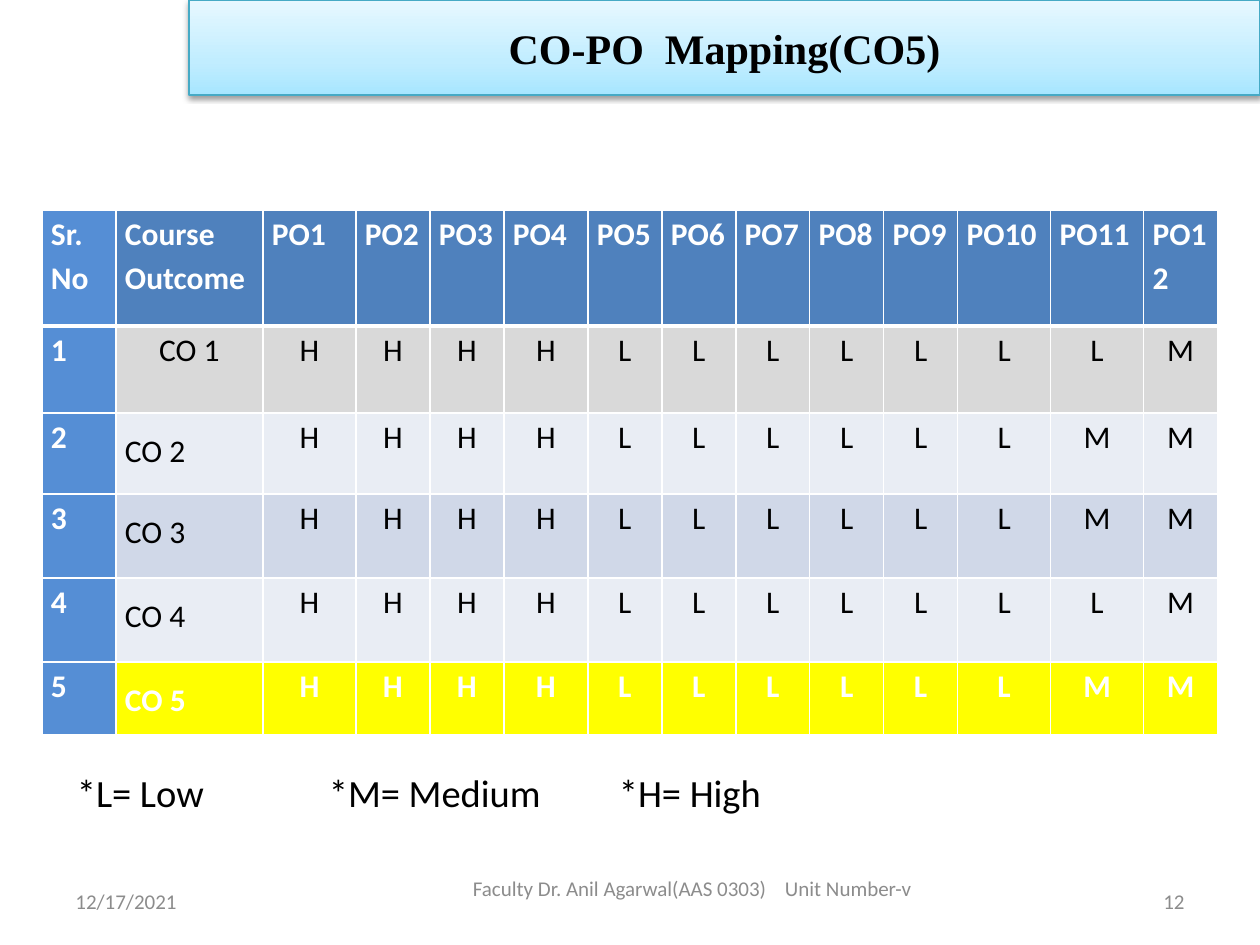
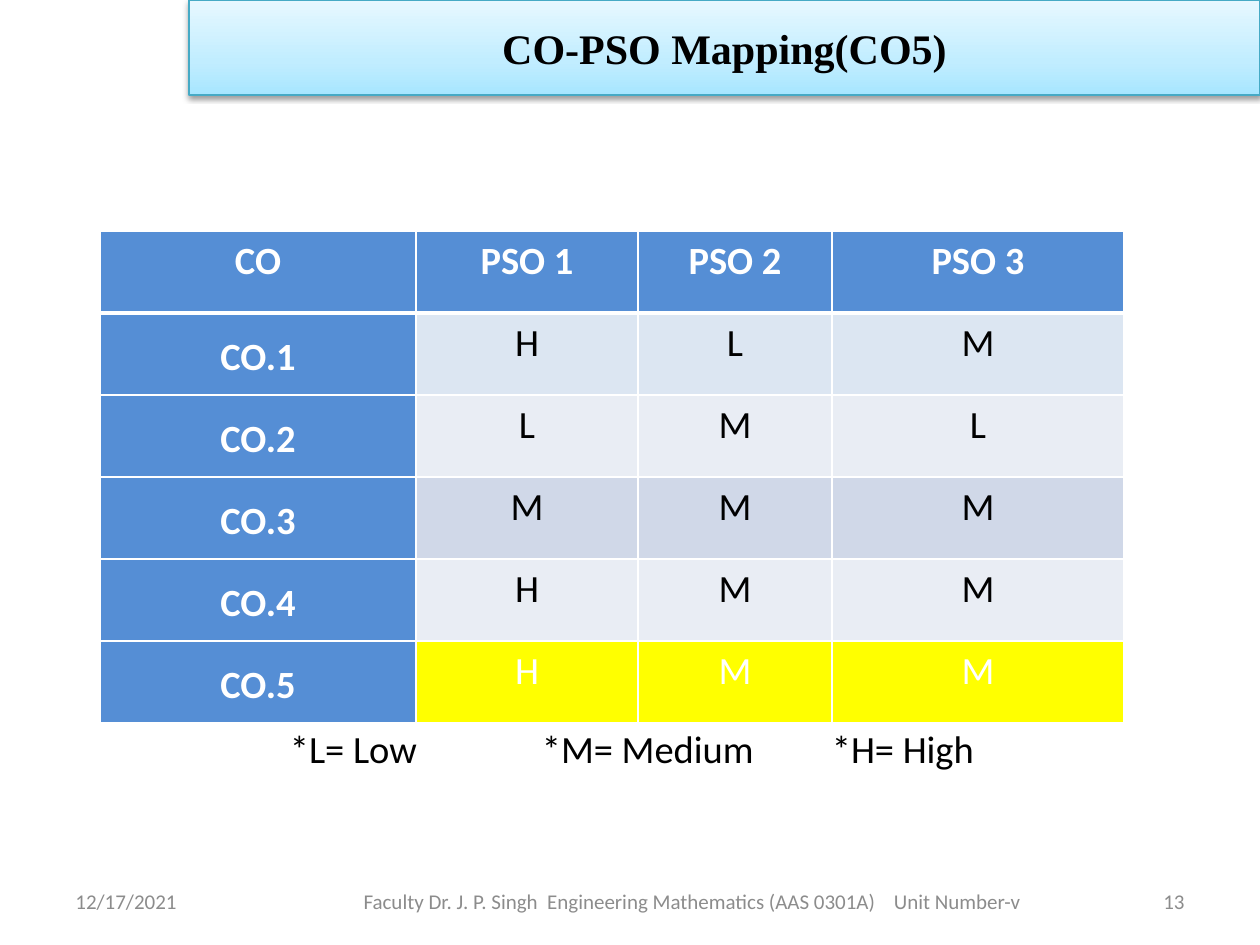
from pptx import Presentation
from pptx.dml.color import RGBColor
from pptx.enum.text import MSO_ANCHOR, MSO_AUTO_SIZE, PP_ALIGN
from pptx.oxml import parse_xml
from pptx.oxml.ns import nsdecls
from pptx.util import Emu, Pt

PX = 914400 // 126
LEFT, CENTER, RIGHT = PP_ALIGN.LEFT, PP_ALIGN.CENTER, PP_ALIGN.RIGHT
TOP, MIDDLE = MSO_ANCHOR.TOP, MSO_ANCHOR.MIDDLE
NO_FIT = MSO_AUTO_SIZE.NONE
TITLE_ONLY = 5

BLACK = RGBColor(0x00, 0x00, 0x00)
WHITE = RGBColor(0xFF, 0xFF, 0xFF)
FOOTER_GREY = RGBColor(0x8C, 0x8C, 0x8C)
TITLE_EDGE = RGBColor(0x46, 0xAA, 0xC5)
TITLE_STOPS = (
    (0, RGBColor(0xA7, 0xE6, 0xFF)),
    (35, RGBColor(0xC1, 0xED, 0xFF)),
    (100, RGBColor(0xE7, 0xF8, 0xFF)),
)
KEY_BLUE = RGBColor(0x55, 0x8E, 0xD5)
HEAD_BLUE = RGBColor(0x4F, 0x81, 0xBD)
ROW_GREY = RGBColor(0xD9, 0xD9, 0xD9)
ROW_BLUE = RGBColor(0xDC, 0xE6, 0xF2)
ROW_PALE = RGBColor(0xE9, 0xED, 0xF4)
ROW_MID = RGBColor(0xD0, 0xD8, 0xE8)
YELLOW = RGBColor(0xFF, 0xFF, 0x00)
LATER_ROWS = (ROW_PALE, ROW_MID, ROW_PALE, YELLOW)

BODY_FONT, TITLE_FONT = "Calibri", "Times New Roman"
TITLE_BOX = (189, 0, 1071, 95)
DATE_BOX = (63, 876, 294, 50)
NUMBER_BOX = (903, 876, 294, 50)
NARROW, WIDE = 74, 93
CELL_INSET = 9
LEGEND = "*L= Low\t*M= Medium\t*H= High"
LEGEND_TABS = (252, 542)


def px(length):
    return Emu(length * PX)


def write(frame, text, size=18, color=BLACK, bold=False, font=BODY_FONT,
          align=LEFT, anchor=MIDDLE, spacing=None):
    frame.word_wrap = True
    frame.vertical_anchor = anchor
    para = frame.paragraphs[0]
    para.alignment = align
    para.line_spacing = spacing
    span = para.add_run()
    span.text = text
    span.font.size = Pt(size)
    span.font.name = font
    span.font.bold = bold
    span.font.color.rgb = color
    return para


def add_text(page, box, text, **style):
    shape = page.shapes.add_textbox(*map(px, box))
    return shape, write(shape.text_frame, text, **style)


def add_title(page, text):
    title = page.shapes.title
    title.left, title.top, title.width, title.height = map(px, TITLE_BOX)
    title.text_frame.auto_size = NO_FIT
    write(title.text_frame, text, size=24, bold=True, font=TITLE_FONT, align=CENTER)
    title.line.color.rgb = TITLE_EDGE
    title.line.width = Pt(0.75)
    stops = "".join(
        f'<a:gs pos="{place * 1000}"><a:srgbClr val="{color}"/></a:gs>'
        for place, color in TITLE_STOPS)
    gradient = parse_xml(
        f'<a:gradFill {nsdecls("a")} rotWithShape="1"><a:gsLst>{stops}</a:gsLst>'
        '<a:lin ang="16200000" scaled="0"/></a:gradFill>')
    shadow = parse_xml(
        f'<a:effectLst {nsdecls("a")}><a:outerShdw blurRad="40000" dist="20000" '
        'dir="5400000" rotWithShape="0"><a:srgbClr val="000000">'
        '<a:alpha val="38000"/></a:srgbClr></a:outerShdw></a:effectLst>')
    outline = title.line._ln
    outline.addprevious(gradient)
    outline.addnext(shadow)


def add_footer(page, credit, number, credit_top):
    parts = (
        (DATE_BOX, "12/17/2021", LEFT),
        ((346, credit_top, 693, 50), credit, CENTER),
        (NUMBER_BOX, number, RIGHT),
    )
    for box, text, align in parts:
        add_text(page, box, text, size=12, color=FOOTER_GREY, align=align)


def add_legend(page, left, top):
    shape, para = add_text(page, (left, top, 720, 46), LEGEND, size=22)
    frame = shape.text_frame
    frame.margin_left = frame.margin_right = 0
    frame.margin_top = frame.margin_bottom = 0
    stops = "".join(f'<a:tab pos="{px(stop)}" algn="l"/>' for stop in LEGEND_TABS)
    para._p.get_or_add_pPr().append(
        parse_xml(f'<a:tabLst {nsdecls("a")}>{stops}</a:tabLst>'))


def add_grid(page, left, top, columns, rows):
    box = (left, top, sum(columns), sum(rows))
    table = page.shapes.add_table(len(rows), len(columns), *map(px, box)).table
    table.horz_banding = False
    for column, width in zip(table.columns, columns):
        column.width = px(width)
    for row, height in zip(table.rows, rows):
        row.height = px(height)
    return table


def set_borders(cell, row):
    props = cell._tc.get_or_add_tcPr()
    widths = {"L": 1, "R": 1, "T": 3 if row == 1 else 1, "B": 3 if row == 0 else 1}
    for side, width in widths.items():
        props.append(parse_xml(
            f'<a:ln{side} {nsdecls("a")} w="{Pt(width)}"><a:solidFill>'
            f'<a:srgbClr val="{WHITE}"/></a:solidFill></a:ln{side}>'))


def fill_cell(table, row, column, text, fill, **style):
    cell = table.cell(row, column)
    cell.margin_left = cell.margin_right = px(CELL_INSET)
    cell.margin_top = cell.margin_bottom = 0
    set_borders(cell, row)
    cell.fill.solid()
    cell.fill.fore_color.rgb = fill
    anchor = style.pop("anchor", TOP)
    write(cell.text_frame, text, **{"spacing": 1.15, **style})
    cell.vertical_anchor = anchor


def po_table(page, left, top):
    columns = [NARROW, 147, WIDE, NARROW, NARROW, 84] + [NARROW] * 5 + [WIDE, WIDE, NARROW]
    table = add_grid(page, left, top, columns, (116, 87, 81, 84, 84, 73))
    headings = ["Sr. No", "Course  Outcome"] + [f"PO{n}" for n in range(1, 13)]
    for column, heading in enumerate(headings):
        fill = HEAD_BLUE if column else KEY_BLUE
        fill_cell(table, 0, column, heading, fill, color=WHITE, bold=True)
    levels = ("HHHHLLLLLLLM", "HHHHLLLLLLMM", "HHHHLLLLLLMM", "HHHHLLLLLLLM", "HHHHLLLLLLMM")
    for row, (grades, fill) in enumerate(zip(levels, (ROW_GREY, *LATER_ROWS)), 1):
        marked = fill == YELLOW
        style = {"color": WHITE if marked else BLACK, "bold": marked}
        fill_cell(table, row, 0, str(row), KEY_BLUE, color=WHITE, bold=True)
        fill_cell(table, row, 1, f"CO {row}", fill, align=CENTER if row == 1 else LEFT,
                  spacing=1.15 if row == 1 else 1.5, **style)
        for column, grade in enumerate(grades, 2):
            fill_cell(table, row, column, grade, fill, align=CENTER, **style)


def pso_table(page, left, top):
    table = add_grid(page, left, top, (316, 222, 194, 292), [82] * 6)
    key_style = {"size": 22, "color": WHITE, "bold": True, "align": CENTER}
    for column, heading in enumerate(("CO", "PSO 1", "PSO 2", "PSO 3")):
        fill_cell(table, 0, column, heading, KEY_BLUE, **key_style)
    levels = ("HLM", "LML", "MMM", "HMM", "HMM")
    for row, (grades, fill) in enumerate(zip(levels, (ROW_BLUE, *LATER_ROWS)), 1):
        fill_cell(table, row, 0, f"CO.{row}", KEY_BLUE, anchor=MIDDLE, **key_style)
        for column, grade in enumerate(grades, 1):
            fill_cell(table, row, column, grade, fill, size=22, align=CENTER,
                      color=WHITE if fill == YELLOW else BLACK)


def add_page(deck, title, credit, number, credit_top=876):
    page = deck.slides.add_slide(deck.slide_layouts[TITLE_ONLY])
    add_title(page, title)
    add_footer(page, credit, number, credit_top)
    return page


def main():
    deck = Presentation()
    deck.slide_width, deck.slide_height = px(1260), px(945)

    page = add_page(deck, "CO-PO  Mapping(CO5)",
                    "Faculty Dr. Anil Agarwal(AAS 0303)    Unit Number-v", "12", 863)
    po_table(page, 42, 210)
    add_legend(page, 77, 769)

    page = add_page(
        deck, "CO-PSO Mapping(CO5)",
        "Faculty Dr. J. P. Singh  Engineering Mathematics (AAS 0301A)    Unit Number-v", "13")
    pso_table(page, 100, 231)
    add_legend(page, 290, 725)

    deck.save("out.pptx")


if __name__ == "__main__":
    main()
